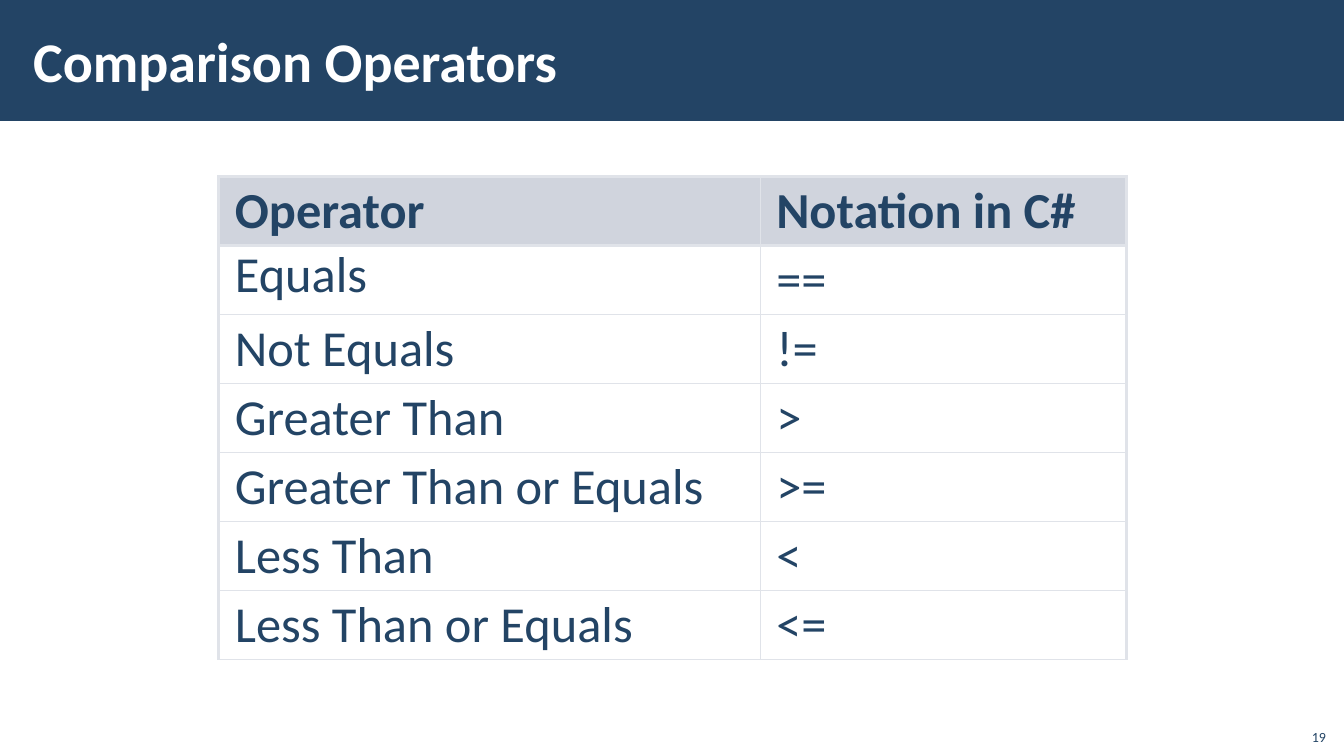
"""Build a slide with a table of the comparison operators in C#."""
from lxml.etree import SubElement
from pptx import Presentation
from pptx.dml.color import RGBColor
from pptx.enum.shapes import MSO_SHAPE
from pptx.enum.text import MSO_ANCHOR, PP_ALIGN
from pptx.oxml import parse_xml
from pptx.oxml.ns import nsdecls, qn
from pptx.util import Inches, Pt

NAVY, WHITE, GREY, LINE = "234465", "FFFFFF", "A3ABBC", "E0E3E9"
ROWS = [
    ("Operator", "Notation in C#"),
    ("Equals", "=="),
    ("Not Equals", "!="),
    ("Greater Than", ">"),
    ("Greater Than or Equals", ">="),
    ("Less Than", "<"),
    ("Less Than or Equals", "<="),
]
COLS = (5.37, 3.63)
ROW_H = 4.79 / len(ROWS)


def paint(fmt, color):
    fmt.solid()
    fmt.fore_color.rgb = RGBColor.from_string(color)


def write(tf, text, size=36, color=NAVY, bold=False, align=PP_ALIGN.LEFT,
          anchor=MSO_ANCHOR.MIDDLE, spacing=None, inset=(0.1, 0.05)):
    tf.word_wrap = True
    tf.vertical_anchor = anchor
    tf.margin_left = tf.margin_right = Inches(inset[0])
    tf.margin_top = tf.margin_bottom = Inches(inset[1])
    p = tf.paragraphs[0]
    p.alignment, p.line_spacing = align, spacing
    r = p.add_run()
    r.text = text
    r.font.name, r.font.size, r.font.bold = "Calibri", Pt(size), bold
    paint(r.font.fill, color)
    return p


prs = Presentation()
prs.slide_width, prs.slide_height = Inches(13.33), Inches(7.5)
s = prs.slides.add_slide(prs.slide_layouts[6])

band = s.shapes.add_shape(MSO_SHAPE.RECTANGLE, 0, 0, prs.slide_width, Inches(1.2))
band.shadow.inherit = False
paint(band.fill, NAVY)
band.line.fill.background()

title = s.shapes.add_textbox(Inches(0.21), Inches(0.11), Inches(10.63), Inches(0.97))
write(title.text_frame, "Comparison Operators", size=40, color=WHITE, bold=True,
      inset=(0.12, 0.04))

table = s.shapes.add_table(len(ROWS), len(COLS), Inches(2.17), Inches(1.75),
                           Inches(sum(COLS)), Inches(ROW_H * len(ROWS))).table
table.horz_banding = table.first_row = False
for col, width in zip(table.columns, COLS):
    col.width = Inches(width)

for i, texts in enumerate(ROWS):
    table.rows[i].height = Inches(ROW_H)
    for j, text in enumerate(texts):
        cell = table.cell(i, j)
        p = write(cell.text_frame, text, bold=i == 0, spacing=0.95)
        cell.vertical_anchor = MSO_ANCHOR.MIDDLE
        cell.margin_left = cell.margin_right = Inches(0.16)
        cell.margin_top = cell.margin_bottom = Inches(0.05)
        if text == "Equals":
            p.line_spacing = Pt(38)
            p.space_before = p.space_after = Pt(6)
        tcPr = cell._tc.get_or_add_tcPr()
        if i == 0:
            paint(cell.fill, GREY)
            SubElement(tcPr.find(".//" + qn("a:srgbClr")), qn("a:alpha"), val="50000")
        else:
            cell.fill.background()
        thick = {"L": j == 0, "R": j == 1, "T": i < 2, "B": i == 0}
        for k, (side, heavy) in enumerate(thick.items()):
            width = Pt(2.25 if heavy else 1)
            tcPr.insert(k, parse_xml(
                f'<a:ln{side} {nsdecls("a")} w="{width}"><a:solidFill>'
                f'<a:srgbClr val="{LINE}"/></a:solidFill></a:ln{side}>'))

number = s.shapes.add_textbox(Inches(12.85), Inches(7.12), Inches(0.4), Inches(0.32))
write(number.text_frame, "19", size=10, align=PP_ALIGN.RIGHT, anchor=MSO_ANCHOR.BOTTOM)

prs.save("out.pptx")
